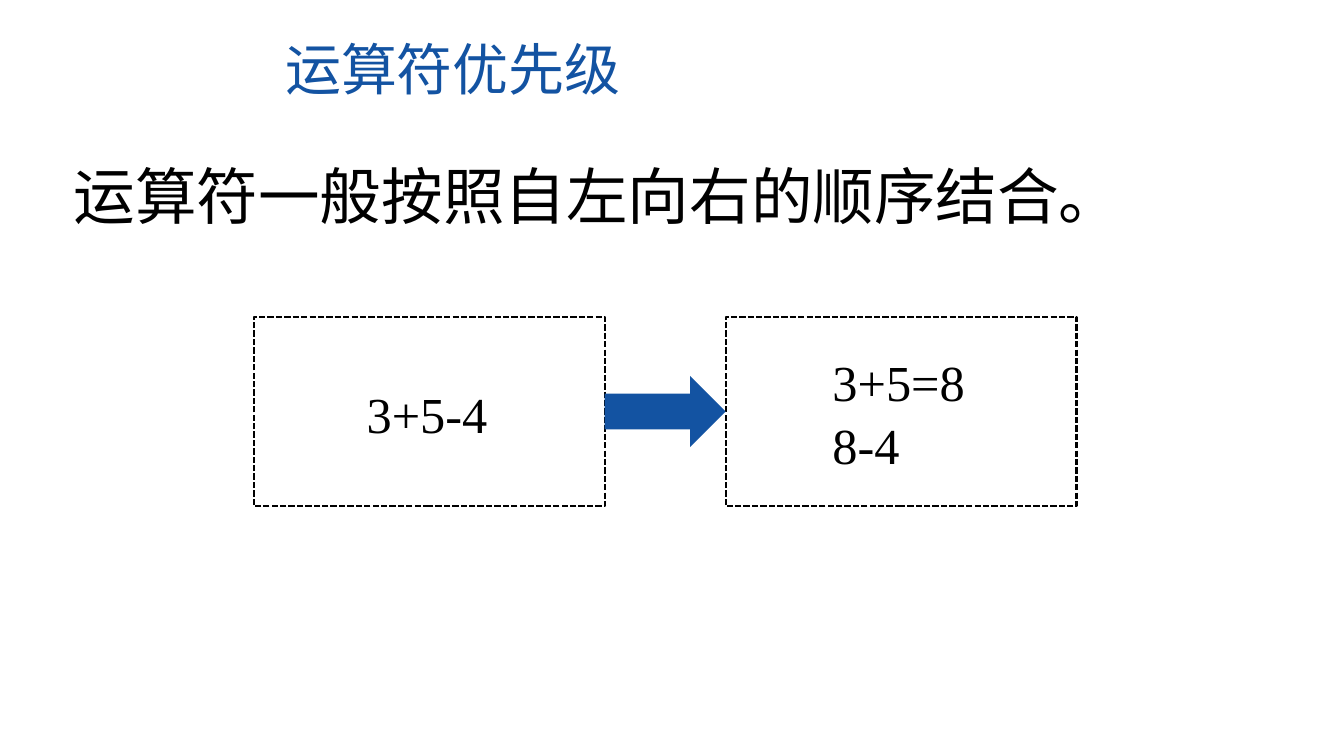
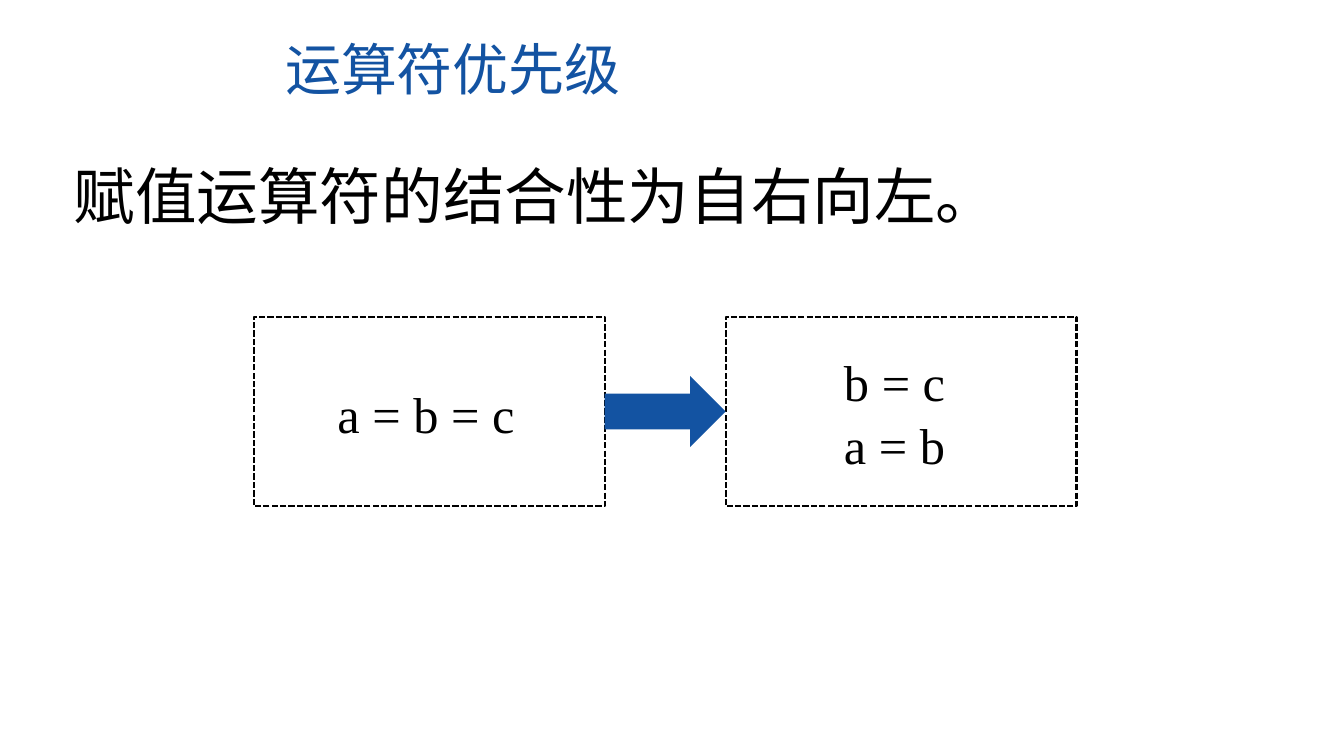
import pptx
import pptx.util
import pptx.dml.color
import pptx.enum.dml
import pptx.enum.shapes
import pptx.enum.text
import pptx.oxml.ns
from lxml import etree

Cm = pptx.util.Cm
Pt = pptx.util.Pt
RGBColor = pptx.dml.color.RGBColor
SHAPE = pptx.enum.shapes.MSO_SHAPE
ANCHOR = pptx.enum.text.MSO_ANCHOR
qn = pptx.oxml.ns.qn

BLUE = RGBColor(0x13, 0x53, 0xA2)
BLACK = RGBColor(0, 0, 0)
CJK = "Noto Sans CJK SC"
LATIN = "Times New Roman"

# Frame geometry in cm: two equal frames joined by an arrow
FRAME_W, FRAME_H, FRAME_TOP = 8.84, 4.78, 7.98
FRAME_LEFTS = (6.4, 18.29)
ARROW_H = 1.8
MIDDLE = FRAME_TOP + FRAME_H / 2

# Statement, then (text, text box width) for each frame
SLIDES = [
    ("运算符一般按照自左向右的顺序结合。",
     [("3+5-4", 3.66), ("3+5=8\n8-4", 3.96)]),
    ("赋值运算符的结合性为自右向左。",
     [("a = b = c", 5.13), ("b = c\na = b", 3.38)]),
]


def place(sp, left, top, width, height):
    sp.left, sp.top, sp.width, sp.height = Cm(left), Cm(top), Cm(width), Cm(height)


def style(tf, font, size, color, anchor, spacing=1.0):
    tf.auto_size = pptx.enum.text.MSO_AUTO_SIZE.NONE
    tf.vertical_anchor = anchor
    for p in tf.paragraphs:
        p.alignment = pptx.enum.text.PP_ALIGN.LEFT
        p.line_spacing = spacing
        p.space_before = Pt(0)
        for r in p.runs:
            r.font.name = font
            r.font.size = Pt(size)
            r.font.color.rgb = color
            latin = r.font._element.find(qn("a:latin"))
            ea = etree.Element(qn("a:ea"), typeface=font)
            latin.addnext(ea)


prs = pptx.Presentation()
prs.slide_width, prs.slide_height = Cm(33.87), Cm(19.05)

for statement, expressions in SLIDES:
    s = prs.slides.add_slide(prs.slide_layouts[1])

    # Title
    title = s.shapes.title
    place(title, 6.93, 0.74, 14.94, 1.96)
    tf = title.text_frame
    tf.text = "运算符优先级"
    tf.margin_top = tf.margin_bottom = 0
    style(tf, CJK, 40, BLUE, ANCHOR.MIDDLE)

    # Statement without bullet
    body = s.placeholders[1]
    place(body, 1.6, 3.66, 31.22, 2.7)
    tf = body.text_frame
    tf.text = statement
    tf.margin_top = Cm(0.33)
    tf.margin_bottom = 0
    style(tf, CJK, 44, BLACK, ANCHOR.TOP)
    pPr = tf.paragraphs[0]._p.get_or_add_pPr()
    pPr.set("marL", "0")
    pPr.set("indent", "0")
    etree.SubElement(pPr, qn("a:buNone"))

    # Dashed frames with a left-aligned text block centred in each
    for left, (text, width) in zip(FRAME_LEFTS, expressions):
        frame = s.shapes.add_shape(SHAPE.RECTANGLE, Cm(left), Cm(FRAME_TOP),
                                   Cm(FRAME_W), Cm(FRAME_H))
        frame.shadow.inherit = False
        frame.fill.background()
        frame.line.color.rgb = BLACK
        frame.line.width = Pt(1.5)
        frame.line.dash_style = pptx.enum.dml.MSO_LINE.SQUARE_DOT

        height = 0.27 + 1.53 * len(text.split("\n"))
        box = s.shapes.add_textbox(Cm(left + (FRAME_W - width) / 2),
                                   Cm(MIDDLE - height / 2), Cm(width), Cm(height))
        tf = box.text_frame
        tf.text = text
        tf.word_wrap = False
        style(tf, LATIN, 36, BLACK, ANCHOR.MIDDLE, 1.05)

    # Arrow filling the gap between the frames
    start = FRAME_LEFTS[0] + FRAME_W
    arrow = s.shapes.add_shape(SHAPE.RIGHT_ARROW, Cm(start), Cm(MIDDLE - ARROW_H / 2),
                               Cm(FRAME_LEFTS[1] - start), Cm(ARROW_H))
    arrow.shadow.inherit = False
    arrow.fill.solid()
    arrow.fill.fore_color.rgb = BLUE
    arrow.line.fill.background()

prs.save("out.pptx")
